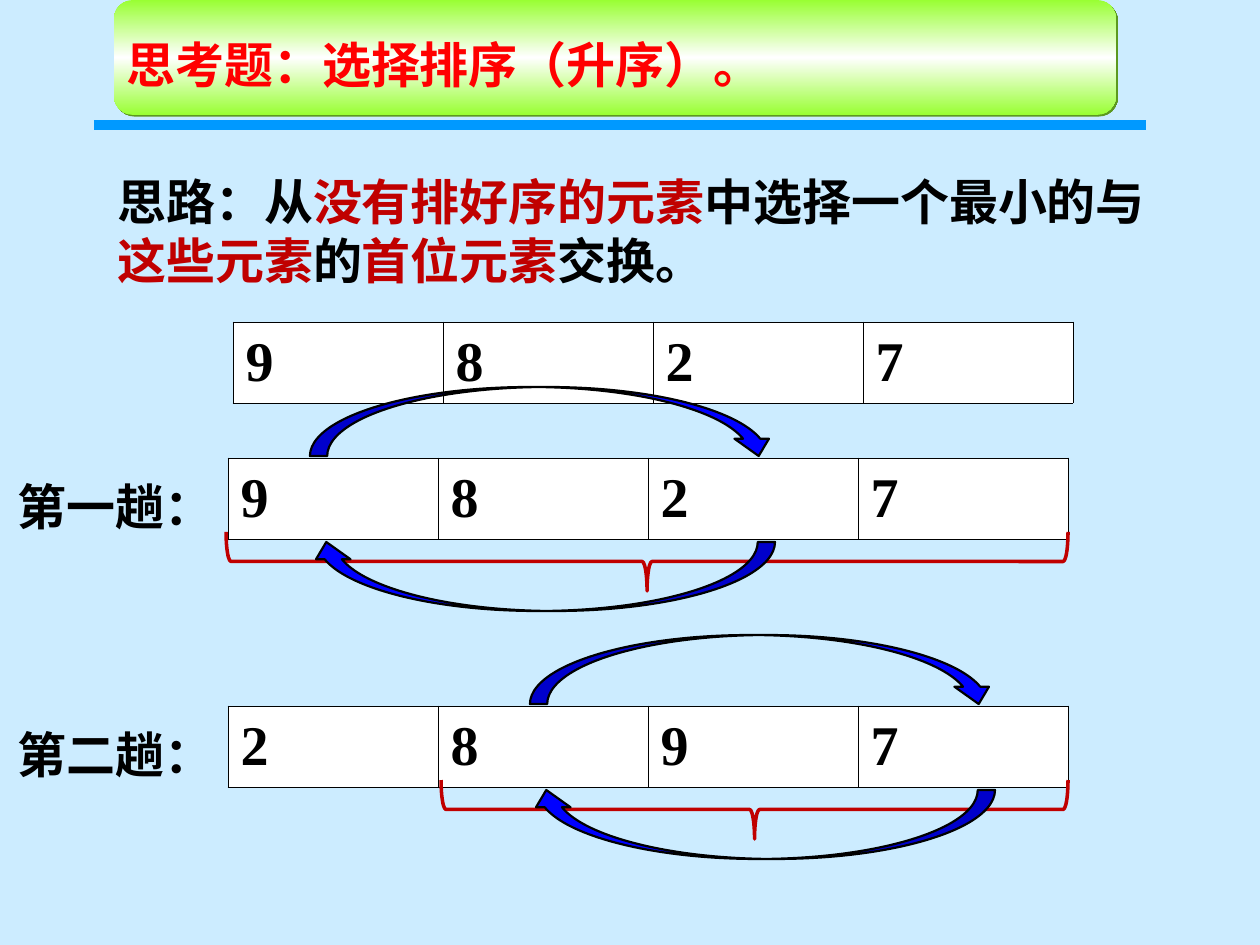
from copy import deepcopy
from dataclasses import dataclass

from lxml import etree
from pptx import Presentation
from pptx import util as u
from pptx.dml.color import RGBColor
from pptx.enum import shapes, text
from pptx.oxml.ns import qn

PX = 914400 / 126


def px(n):
    return u.Emu(round(n * PX))


def rgb(code):
    return RGBColor.from_string(code)


@dataclass(frozen=True)
class Theme:
    background: str = "CCECFF"
    rule: str = "0099FF"
    banner: str = "99FF33"
    banner_shadow: str = "5C991F"
    title: str = "FF0000"
    ink: str = "000000"
    accent: str = "C00000"
    arrow: str = "0000FF"
    paper: str = "FFFFFF"
    title_font: str = "Courier New"
    body_font: str = "Times New Roman"
    text_size: int = 28
    number_size: int = 32


class Board:
    def __init__(self, slide, theme):
        self.slide, self.theme = slide, theme
        slide.background.fill.solid()
        slide.background.fill.fore_color.rgb = rgb(theme.background)

    def style(self, run, color, size, font):
        run.font.name, run.font.size, run.font.bold = font, u.Pt(size), True
        run.font.color.rgb = rgb(color)

    def rule(self, x1, x2, y, weight):
        line = self.slide.shapes.add_connector(
            shapes.MSO_CONNECTOR.STRAIGHT, px(x1), px(y), px(x2), px(y))
        line.line.color.rgb = rgb(self.theme.rule)
        line.line.width = u.Pt(weight)
        etree.SubElement(line._element.spPr, qn("a:effectLst"))

    def shape(self, kind, x, y, w, h, rotation=0):
        shape = self.slide.shapes.add_shape(kind, px(x), px(y), px(w), px(h))
        shape.rotation = rotation
        shape.shadow.inherit = False
        return shape

    def banner(self, x, y, w, h):
        banner = self.shape(shapes.MSO_SHAPE.ROUNDED_RECTANGLE, x, y, w, h)
        banner.line.fill.background()
        # Three-stop vertical gradient
        banner.fill.gradient()
        banner.fill.gradient_angle = 270
        stops = banner._element.spPr.find(".//" + qn("a:gsLst"))
        stops.insert(1, deepcopy(stops[0]))
        colors = (self.theme.banner, self.theme.paper, self.theme.banner)
        for stop, position, color in zip(banner.fill.gradient_stops, (0, 0.5, 1), colors):
            stop.position = position
            stop.color.rgb = rgb(color)
        # Hard offset shadow
        effects = banner._element.spPr.find(qn("a:effectLst"))
        shadow = etree.SubElement(effects, qn("a:outerShdw"), blurRad="0",
                                  dist=str(u.Pt(1.4)), dir="2700000")
        etree.SubElement(shadow, qn("a:srgbClr"), val=self.theme.banner_shadow)

    def text(self, x, y, w, h, parts, font=None, before=7,
             anchor=text.MSO_ANCHOR.TOP):
        box = self.slide.shapes.add_textbox(px(x), px(y), px(w), px(h))
        frame = box.text_frame
        frame.word_wrap = True
        frame.vertical_anchor = anchor
        paragraph = frame.paragraphs[0]
        paragraph.space_before = u.Pt(before)
        for words, color in parts:
            run = paragraph.add_run()
            run.text = words
            self.style(run, color, self.theme.text_size, font or self.theme.body_font)

    def array(self, x, y, values, cell_w, cell_h):
        table = self.slide.shapes.add_table(
            1, len(values), px(x), px(y), px(cell_w * len(values)), px(cell_h)).table
        table.first_row = table.horz_banding = False
        for cell, value in zip(table.iter_cells(), values):
            cell.text_frame.text = value
            cell.vertical_anchor = text.MSO_ANCHOR.MIDDLE
            self.style(cell.text_frame.paragraphs[0].runs[0], self.theme.ink,
                       self.theme.number_size, self.theme.body_font)
            self.borders(cell, 0.45)
            cell.fill.solid()
            cell.fill.fore_color.rgb = rgb(self.theme.paper)

    def borders(self, cell, weight):
        props = cell._tc.get_or_add_tcPr()
        for side in ("lnL", "lnR", "lnT", "lnB"):
            line = etree.SubElement(props, qn("a:" + side), w=str(u.Pt(weight)))
            fill = etree.SubElement(line, qn("a:solidFill"))
            etree.SubElement(fill, qn("a:srgbClr"), val=self.theme.ink)

    def brace_below(self, x1, x2, y, depth):
        # A right brace turned by 90 degrees about its centre
        length = x2 - x1
        brace = self.shape(shapes.MSO_SHAPE.RIGHT_BRACE, (x1 + x2 - depth) / 2,
                           y + (depth - length) / 2, depth, length, 90)
        brace.fill.background()
        brace.line.color.rgb = rgb(self.theme.accent)
        brace.line.width = u.Pt(2)

    def swap_arrow(self, x, y, w, h, rotation=0):
        arrow = self.shape(shapes.MSO_SHAPE.CURVED_DOWN_ARROW, x, y, w, h, rotation)
        arrow.fill.solid()
        arrow.fill.fore_color.rgb = rgb(self.theme.arrow)
        arrow.line.color.rgb = rgb(self.theme.ink)
        arrow.line.width = u.Pt(1.25)


def main():
    deck = Presentation()
    deck.slide_width, deck.slide_height = px(1260), px(945)
    theme = Theme()
    board = Board(deck.slides.add_slide(deck.slide_layouts[6]), theme)

    # Title banner
    board.rule(94, 1146, 125, 6)
    board.banner(114, 0, 1002, 115)
    board.text(114, 17, 1002, 94, [("思考题：选择排序（升序）。", theme.title)],
               theme.title_font, 0, text.MSO_ANCHOR.MIDDLE)

    # Idea of the algorithm
    board.text(105, 165, 1072, 131, [
        ("思路：从", theme.ink), ("没有排好序的元素", theme.accent),
        ("中选择一个最小的与", theme.ink), ("这些元素", theme.accent),
        ("的", theme.ink), ("首位元素", theme.accent), ("交换。", theme.ink)])

    # Initial array
    cell_w, cell_h = 210, 81
    board.array(233, 322, "9827", cell_w, cell_h)

    # Passes: label, values, row top, unsorted part start, swap start
    passes = [("第一趟：", "9827", 458, 226, 310),
              ("第二趟：", "2897", 706, 441, 530)]
    for label, values, top, unsorted_x, swap_x in passes:
        board.text(5, top + 12, 228, 72, [(label, theme.ink)])
        board.array(228, top, values, cell_w, cell_h)
        board.brace_below(unsorted_x, 1068, top + 74, 59)
        board.swap_arrow(swap_x - 1, top + 84, 466, 69, 180)
        board.swap_arrow(swap_x, top - 71, 466, 69)

    deck.save("out.pptx")


if __name__ == "__main__":
    main()
